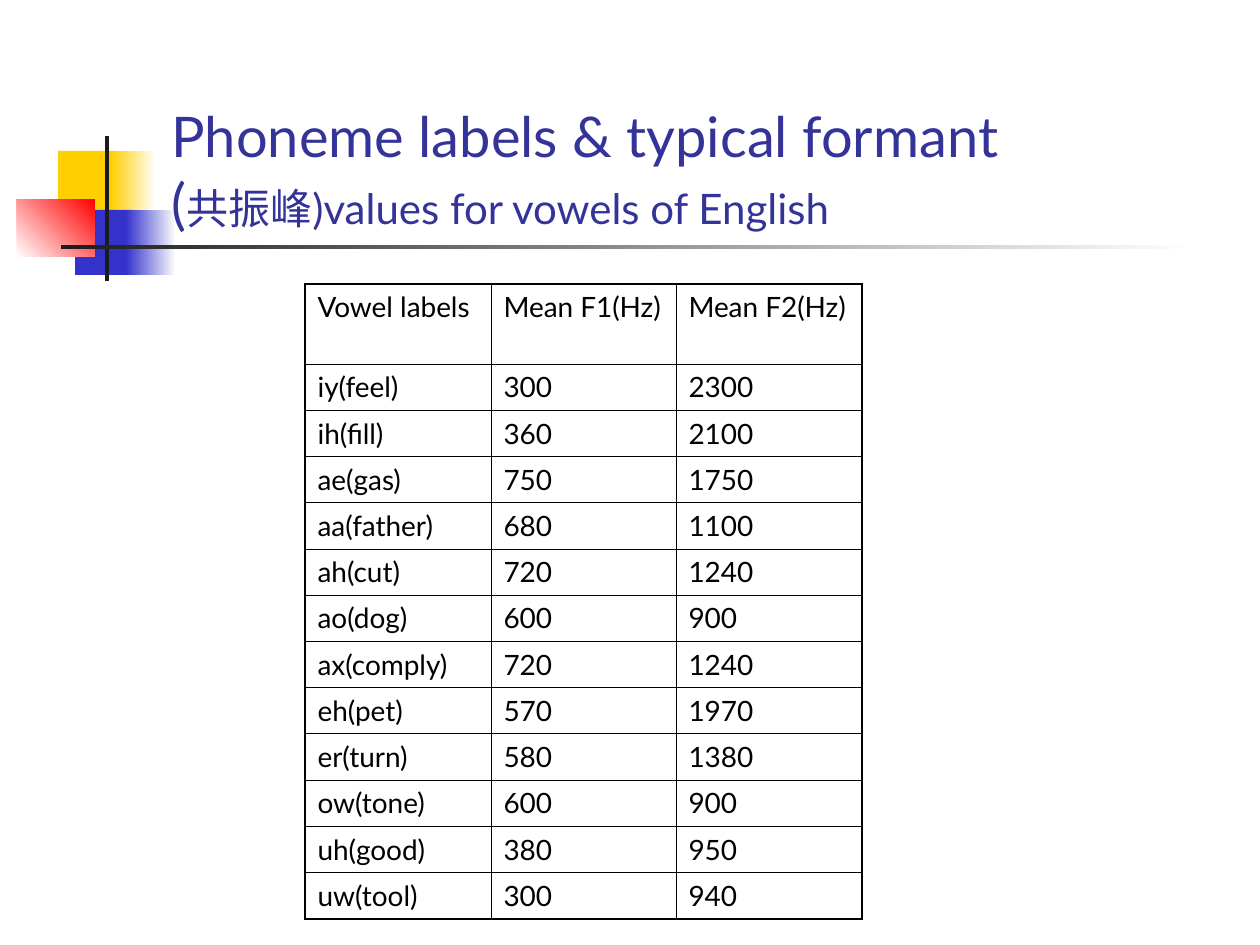
import pptx
import pptx.dml.color
import pptx.enum.shapes
import pptx.enum.text
import pptx.oxml
import pptx.oxml.ns
import pptx.util

PX = 914400 / 126  # EMU in one px
FONT = "Lato"
COLORS = {
    "yellow": "FFCF01",
    "blue": "3333CC",
    "red": "FF0000",
    "dark": "1C1C1C",
    "white": "FFFFFF",
    "title": "333399",
    "black": "000000",
}


def px(n):
    return pptx.util.Emu(round(n * PX))


def add_text(p, text, size=16, color="black"):
    r = p.add_run()
    r.text = text
    r.font.name = FONT
    r.font.size = pptx.util.Pt(size)
    r.font.color.rgb = pptx.dml.color.RGBColor.from_string(COLORS[color])


prs = pptx.Presentation()
prs.slide_width, prs.slide_height = px(1260), px(945)
s = prs.slides.add_slide(prs.slide_layouts[6])

# Decorative blocks and bars: left, top, width, height, colours, angle
decor = [
    (58, 151, 60, 66, ["yellow"], 0),
    (111, 151, 45, 66, ["yellow", "white"], 0),
    (75, 210, 58, 65, ["blue"], 0),
    (126, 210, 50, 65, ["blue", "white"], 0),
    (17, 199, 78, 58, ["white", "red"], 45),
    (105, 136, 4, 145, ["dark"], 0),
    (61, 245, 1134, 4, ["dark", "white"], 0),
]
for x, y, w, h, names, angle in decor:
    sp = s.shapes.add_shape(pptx.enum.shapes.MSO_SHAPE.RECTANGLE, px(x), px(y), px(w), px(h))
    sp.shadow.inherit = False
    sp.line.fill.background()
    if len(names) == 1:
        sp.fill.solid()
        sp.fill.fore_color.rgb = pptx.dml.color.RGBColor.from_string(COLORS[names[0]])
    else:
        sp.fill.gradient()
        sp.fill.gradient_angle = angle
        for stop, name in zip(sp.fill.gradient_stops, names):
            stop.color.rgb = pptx.dml.color.RGBColor.from_string(COLORS[name])

# Title
tf = s.shapes.add_textbox(px(159), px(84), px(1073), px(158)).text_frame
tf.word_wrap = True
tf.vertical_anchor = pptx.enum.text.MSO_ANCHOR.BOTTOM
p = tf.paragraphs[0]
add_text(p, "Phoneme labels & typical formant", size=32, color="title")
p.add_line_break()
add_text(p, "(", size=32, color="title")
add_text(p, "共振峰)values for vowels of English", size=24, color="title")

# Formant table
rows = [
    ("Vowel labels", "Mean F1(Hz)", "Mean F2(Hz)"),
    ("iy(feel)", "300", "2300"),
    ("ih(fill)", "360", "2100"),
    ("ae(gas)", "750", "1750"),
    ("aa(father)", "680", "1100"),
    ("ah(cut)", "720", "1240"),
    ("ao(dog)", "600", "900"),
    ("ax(comply)", "720", "1240"),
    ("eh(pet)", "570", "1970"),
    ("er(turn)", "580", "1380"),
    ("ow(tone)", "600", "900"),
    ("uh(good)", "380", "950"),
    ("uw(tool)", "300", "940"),
]
last_row, last_col = len(rows) - 1, len(rows[0]) - 1
table = s.shapes.add_table(len(rows), len(rows[0]), px(305), px(284), px(557), px(632)).table
table.first_row = table.horz_banding = False
for col, width in zip(table.columns, (186, 185, 186)):
    col.width = px(width)
for i, row in enumerate(rows):
    table.rows[i].height = px(46 if i else 80)
    for j, text in enumerate(row):
        cell = table.cell(i, j)
        add_text(cell.text_frame.paragraphs[0], text)
        # Thin inner borders, thicker outer frame
        outer = {"L": j == 0, "R": j == last_col, "T": i == 0, "B": i == last_row}
        for side, is_outer in outer.items():
            width = pptx.util.Pt(1.08 if is_outer else 0.45)
            cell._tc.get_or_add_tcPr().append(pptx.oxml.parse_xml(
                f'<a:ln{side} {pptx.oxml.ns.nsdecls("a")} w="{width}"><a:solidFill>'
                f'<a:srgbClr val="{COLORS["black"]}"/></a:solidFill></a:ln{side}>'))
        cell.fill.background()

prs.save("out.pptx")
